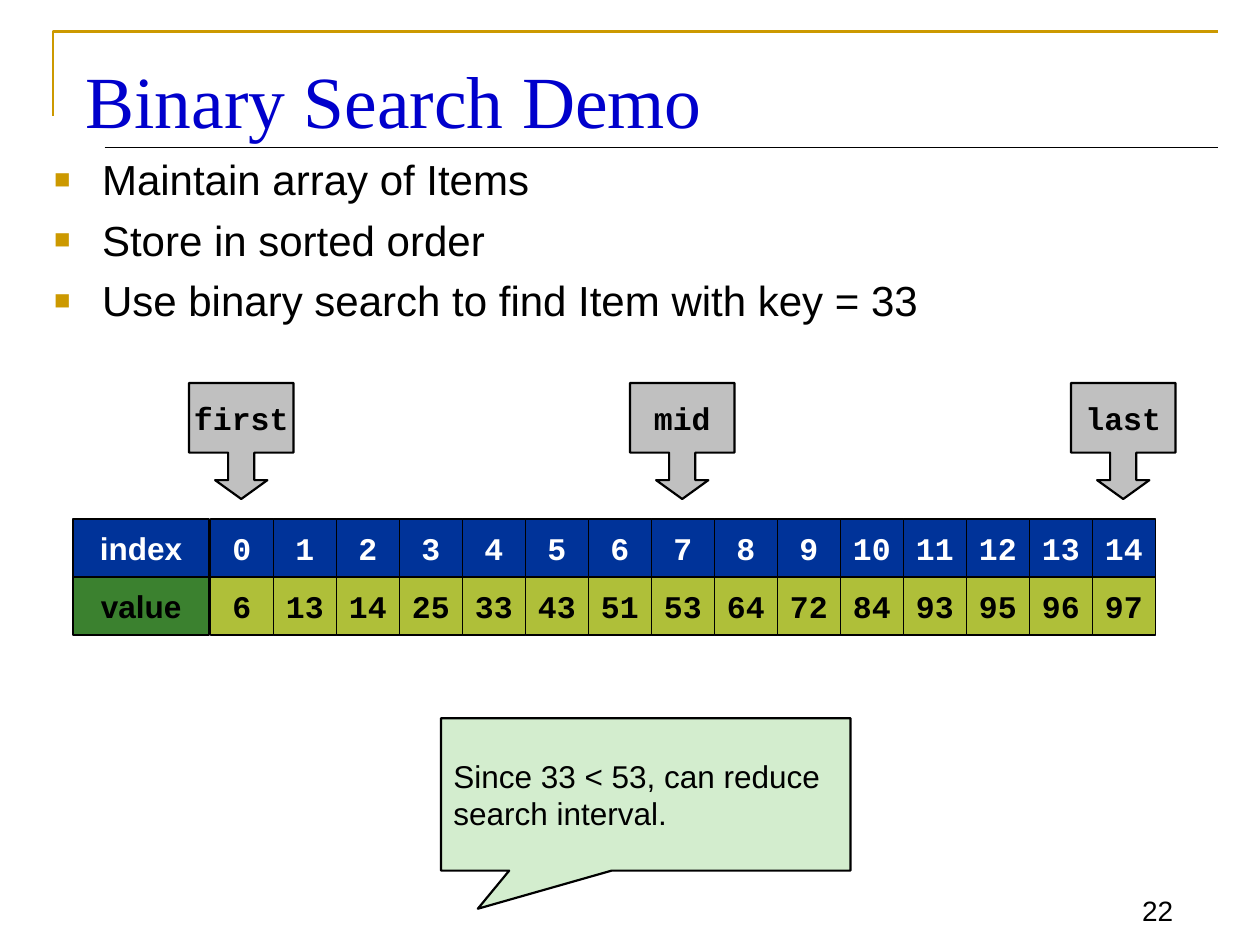
import pptx
import pptx.util
import pptx.dml.color
import pptx.enum.shapes
import pptx.enum.text
import pptx.oxml
import pptx.oxml.ns

Inches = pptx.util.Inches
Pt = pptx.util.Pt
RGBColor = pptx.dml.color.RGBColor
SHAPE = pptx.enum.shapes.MSO_SHAPE
ALIGN = pptx.enum.text.PP_ALIGN
ANCHOR = pptx.enum.text.MSO_ANCHOR

BLACK = RGBColor(0x00, 0x00, 0x00)
WHITE = RGBColor(0xFF, 0xFF, 0xFF)
GOLD = RGBColor(0xCC, 0x99, 0x00)
TITLE_BLUE = RGBColor(0x00, 0x00, 0xCC)
INDEX_BLUE = RGBColor(0x00, 0x33, 0x99)
LABEL_GREEN = RGBColor(0x3B, 0x81, 0x2F)
VALUE_GREEN = RGBColor(0xAF, 0xBF, 0x39)
POINTER_GRAY = RGBColor(0xC0, 0xC0, 0xC0)
NOTE_GREEN = RGBColor(0xD3, 0xED, 0xCE)


def write(shape, lines, color, frame_format, para_format, font_format):
    frame = shape.text_frame
    frame.auto_size = pptx.enum.text.MSO_AUTO_SIZE.NONE
    for name, value in frame_format.items():
        setattr(frame, name, value)
    for number, line in enumerate(lines):
        para = frame.add_paragraph() if number else frame.paragraphs[0]
        for name, value in para_format.items():
            setattr(para, name, value)
        span = para.add_run()
        span.text = line
        span.font.color.rgb = color
        for name, value in font_format.items():
            setattr(span.font, name, value)


def add_box(kind, place, fill, line_width, text, color, wrap, align, font_format):
    box = page.shapes.add_shape(kind, *map(Inches, place))
    box.shadow.inherit = False
    box.fill.solid()
    box.fill.fore_color.rgb = fill
    box.line.color.rgb = BLACK
    box.line.width = Pt(line_width)
    write(box, [text], color, {"word_wrap": wrap, "vertical_anchor": ANCHOR.MIDDLE},
          {"alignment": align}, font_format)
    return box


deck = pptx.Presentation()
deck.slide_width = Inches(10)
deck.slide_height = Inches(7.5)
page = deck.slides.add_slide(deck.slide_layouts[1])

title, body = page.placeholders
for holder, place in ((title, (0.58, 0.33, 9.08, 0.75)), (body, (0.33, 1.17, 9.33, 1.75))):
    holder.left, holder.top, holder.width, holder.height = map(Inches, place)

write(title, ["Binary Search Demo"], TITLE_BLUE,
      {"vertical_anchor": ANCHOR.TOP, "margin_top": Inches(0.11), "margin_bottom": 0},
      {"alignment": ALIGN.LEFT}, {"name": "Times New Roman", "size": Pt(42)})
write(body, ["Maintain array of Items", "Store in sorted order",
             "Use binary search to find Item with key = 33"], BLACK,
      {"vertical_anchor": ANCHOR.TOP}, {"space_before": Pt(5.8)},
      {"name": "Arial", "size": Pt(24)})
for para in body.text_frame.paragraphs:
    properties = para._p.get_or_add_pPr()
    properties.set("marL", str(Inches(0.38)))
    properties.set("indent", str(Inches(-0.38)))
    for tag in (f'<a:buClr {{}}><a:srgbClr val="{GOLD}"/></a:buClr>',
                '<a:buSzPct {} val="65000"/>',
                '<a:buFont {} typeface="Arial"/>',
                '<a:buChar {} char="■"/>'):
        properties.append(pptx.oxml.parse_xml(tag.format(pptx.oxml.ns.nsdecls("a"))))

builder = page.shapes.build_freeform(Inches(0.42), Inches(0.92))
builder.add_line_segments([(Inches(0.42), Inches(0.25)), (Inches(9.67), Inches(0.25))], close=False)
corner = builder.convert_to_shape()
corner.shadow.inherit = False
corner.fill.background()
corner.line.color.rgb = GOLD
corner.line.width = Pt(1.5)

rule = page.shapes.add_connector(pptx.enum.shapes.MSO_CONNECTOR.STRAIGHT,
                                 Inches(0.83), Inches(1.17), Inches(9.67), Inches(1.17))
rule.line.color.rgb = BLACK
rule.line.width = Pt(0.75)
rule._element.spPr.append(pptx.oxml.parse_xml(f'<a:effectLst {pptx.oxml.ns.nsdecls("a")}/>'))

page_number = page.shapes.add_textbox(Inches(8.75), Inches(6.92), Inches(0.66), Inches(0.49))
write(page_number, ["22"], BLACK, {"word_wrap": True, "vertical_anchor": ANCHOR.BOTTOM},
      {"alignment": ALIGN.RIGHT}, {"name": "Arial", "size": Pt(16)})

LABEL_FONT = {"name": "Arial", "size": Pt(18), "bold": True}
CODE_FONT = {"name": "Courier New", "size": Pt(18), "bold": True}
NOTE_FONT = {"name": "Arial", "size": Pt(18)}
ARRAY_LEFT, CELL_WIDTH, CELL_HEIGHT = 1.67, 0.5, 0.46

values = [6, 13, 14, 25, 33, 43, 51, 53, 64, 72, 84, 93, 95, 96, 97]
rows = [("index", range(len(values)), 4.12, INDEX_BLUE, INDEX_BLUE, WHITE),
        ("value", values, 4.58, LABEL_GREEN, VALUE_GREEN, BLACK)]
for label, numbers, top, label_fill, cell_fill, color in rows:
    add_box(SHAPE.RECTANGLE, (0.58, top, 1.08, CELL_HEIGHT), label_fill, 0.75,
            label, color, False, ALIGN.CENTER, LABEL_FONT)
    for column, number in enumerate(numbers):
        add_box(SHAPE.RECTANGLE, (ARRAY_LEFT + column * CELL_WIDTH, top, CELL_WIDTH, CELL_HEIGHT),
                cell_fill, 0.75, str(number), color, False, ALIGN.CENTER, CODE_FONT)

for name, index in (("first", 0), ("mid", 7), ("last", 14)):
    pointer = add_box(SHAPE.DOWN_ARROW_CALLOUT, (1.5 + index * CELL_WIDTH, 3.04, 0.83, 0.92),
                      POINTER_GRAY, 1.25, name, BLACK, False, ALIGN.CENTER, CODE_FONT)
    for position, value in enumerate((0.25, 0.25, 0.18, 0.6)):
        pointer.adjustments[position] = value

note = add_box(SHAPE.RECTANGULAR_CALLOUT, (3.5, 5.7, 3.25, 1.21), NOTE_GREEN, 1.25,
               "Since 33 < 53, can reduce search interval.", BLACK, True, ALIGN.LEFT, NOTE_FONT)
note.adjustments[0] = -0.41
note.adjustments[1] = 0.75

deck.save("out.pptx")
